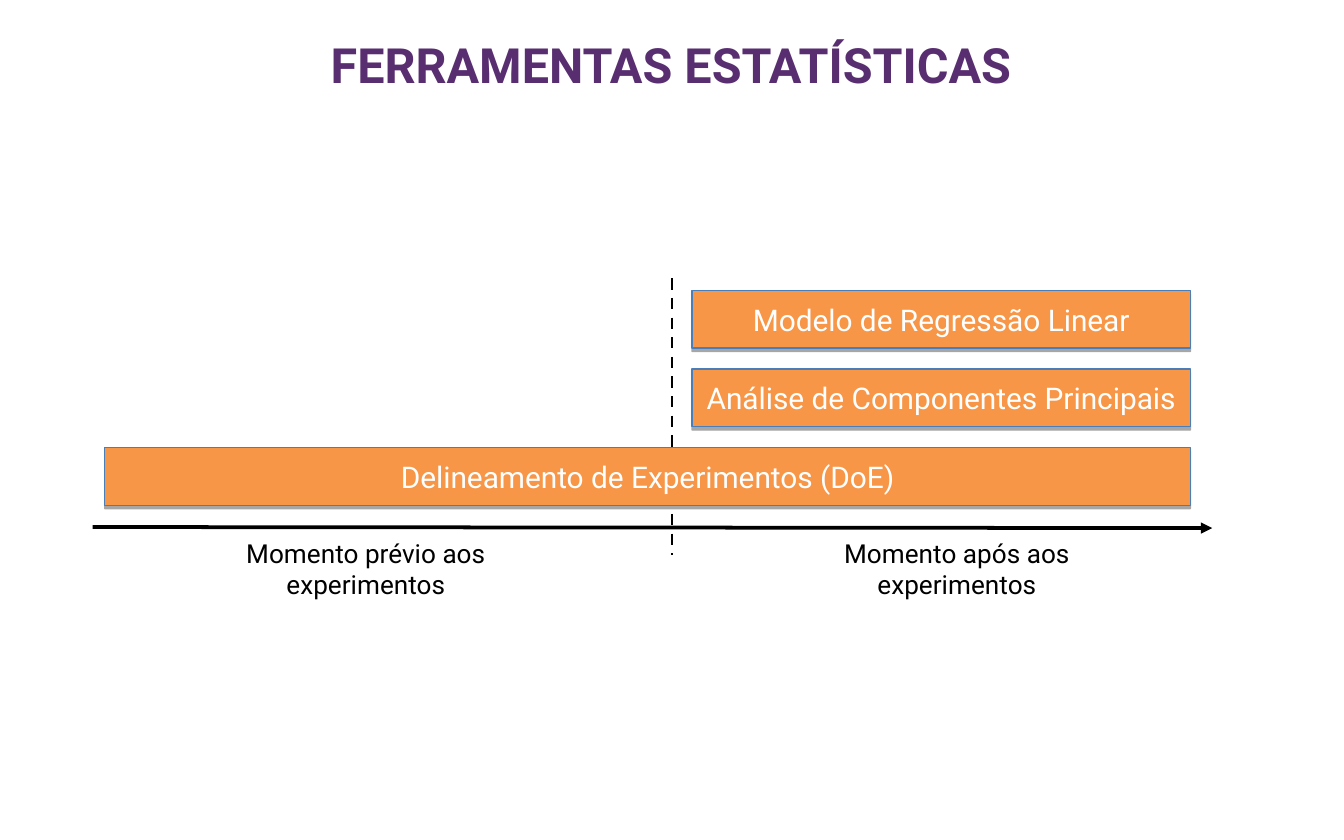
from lxml.etree import SubElement
from pptx import Presentation
from pptx.dml.color import RGBColor
from pptx.enum.dml import MSO_LINE
from pptx.enum.shapes import MSO_CONNECTOR, MSO_SHAPE
from pptx.enum.text import MSO_ANCHOR, PP_ALIGN
from pptx.oxml.ns import qn
from pptx.util import Cm, Pt

COLORS = {
    "title": "592E71",
    "bar": "F79646",
    "border": "4A7EBB",
    "bar_text": "FFFFFF",
    "ink": "000000",
}
FONT = "Roboto"

# Bars share their right edge and are stacked at an equal step (cm)
BAR_RIGHT, BAR_TOP, BAR_HEIGHT, BAR_STEP = 22.5, 5.49, 1.09, 1.485
BARS = [
    ("Modelo de Regressão Linear", 13.08),
    ("Análise de Componentes Principais", 13.08),
    ("Delineamento de Experimentos (DoE)", 1.98),
]
MOMENTS = [
    ("Momento prévio aos experimentos", 3.56),
    ("Momento após aos experimentos", 14.73),
]


def color(name):
    return RGBColor.from_string(COLORS[name])


def write(shape, text, size, ink, bold=False, anchor=MSO_ANCHOR.MIDDLE):
    frame = shape.text_frame
    frame.word_wrap = True
    frame.vertical_anchor = anchor
    para = frame.paragraphs[0]
    para.alignment = PP_ALIGN.CENTER
    span = para.add_run()
    span.text = text
    span.font.name = FONT
    span.font.size = Pt(size)
    span.font.bold = bold
    span.font.color.rgb = color(ink)


def add_text(page, text, left, top, width, height, size, ink, **options):
    box = page.shapes.add_textbox(Cm(left), Cm(top), Cm(width), Cm(height))
    write(box, text, size, ink, **options)
    return box


def add_bar(page, text, left, top):
    bar = page.shapes.add_shape(MSO_SHAPE.RECTANGLE, Cm(left), Cm(top),
                                Cm(BAR_RIGHT - left), Cm(BAR_HEIGHT))
    bar.fill.solid()
    bar.fill.fore_color.rgb = color("bar")
    bar.line.color.rgb = color("border")
    bar.line.width = Pt(0.75)
    # Hard shadow straight below the bar
    bar.shadow.inherit = False
    effects = bar._element.spPr.find(qn("a:effectLst"))
    shadow = SubElement(effects, qn("a:outerShdw"), blurRad="0",
                        dist=str(Pt(1.8)), dir="5400000", rotWithShape="0")
    shade = SubElement(shadow, qn("a:srgbClr"), val=COLORS["ink"])
    SubElement(shade, qn("a:alpha"), val="35000")
    write(bar, text, 16, "bar_text")


def add_line(page, start, end, width, dashed=False, arrow=False):
    line = page.shapes.add_connector(MSO_CONNECTOR.STRAIGHT,
                                     Cm(start[0]), Cm(start[1]),
                                     Cm(end[0]), Cm(end[1]))
    line.line.color.rgb = color("ink")
    line.line.width = Pt(width)
    if dashed:
        line.line.dash_style = MSO_LINE.DASH
    if arrow:
        SubElement(line.line._get_or_add_ln(), qn("a:tailEnd"), type="triangle")
    SubElement(line._element.spPr, qn("a:effectLst"))


def main():
    deck = Presentation()
    deck.slide_width, deck.slide_height = Cm(25.4), Cm(15.875)
    page = deck.slides.add_slide(deck.slide_layouts[6])

    # Title
    title = add_text(page, "FERRAMENTAS ESTATÍSTICAS", 0.36, 0.46, 24.66, 1.5,
                     26, "title", bold=True)
    title.text_frame.margin_left = title.text_frame.margin_right = Cm(0.1)

    # Divider between the two moments
    add_line(page, (12.7, 5.26), (12.7, 10.49), 1.5, dashed=True)

    # Moment labels
    for text, left in MOMENTS:
        add_text(page, text, left, 10.03, 6.71, 1.45, 14, "ink",
                 anchor=MSO_ANCHOR.TOP)

    # Tools
    for row, (text, left) in enumerate(BARS):
        add_bar(page, text, left, BAR_TOP + row * BAR_STEP)

    # Time axis
    add_line(page, (1.75, 9.96), (22.91, 9.98), 2, arrow=True)

    deck.save("out.pptx")


if __name__ == "__main__":
    main()
